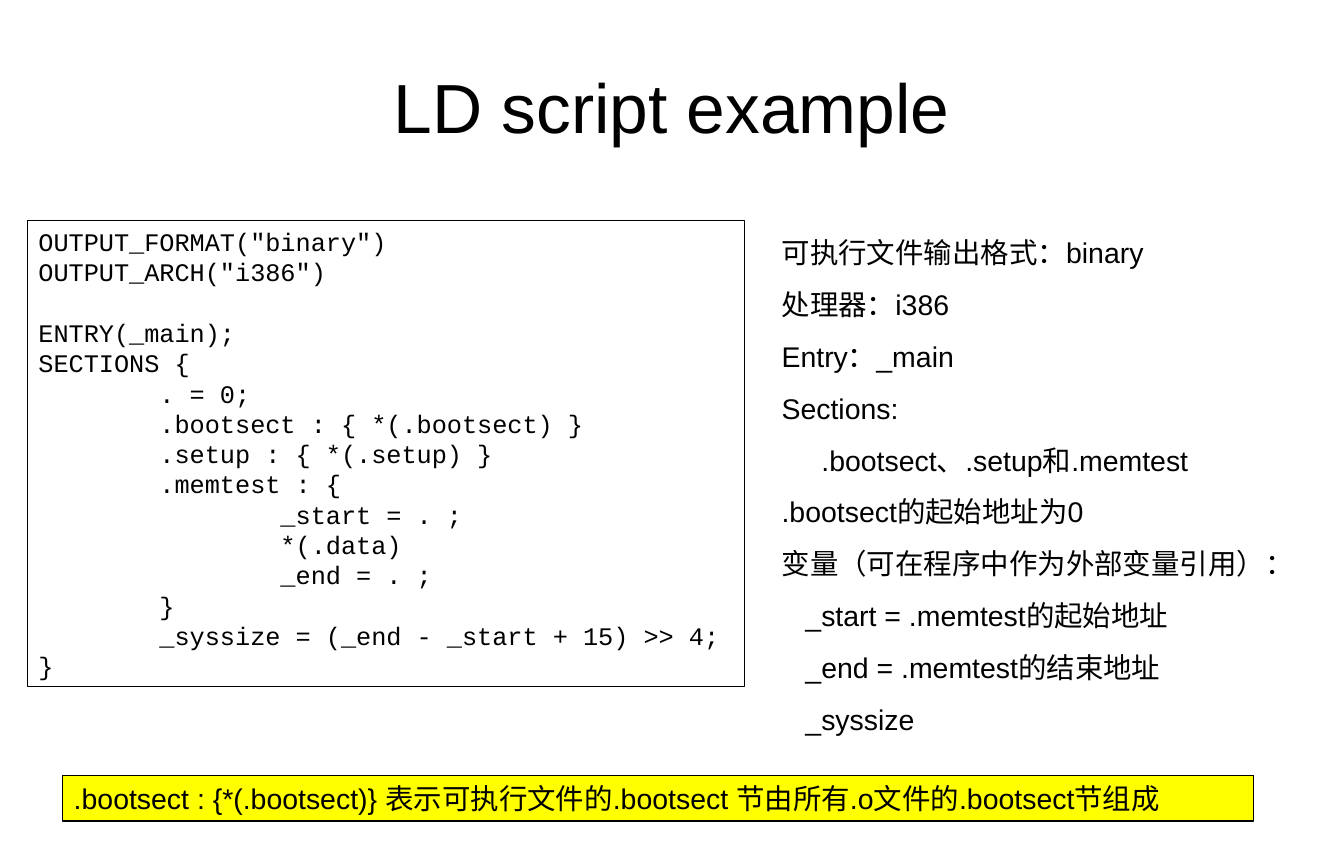
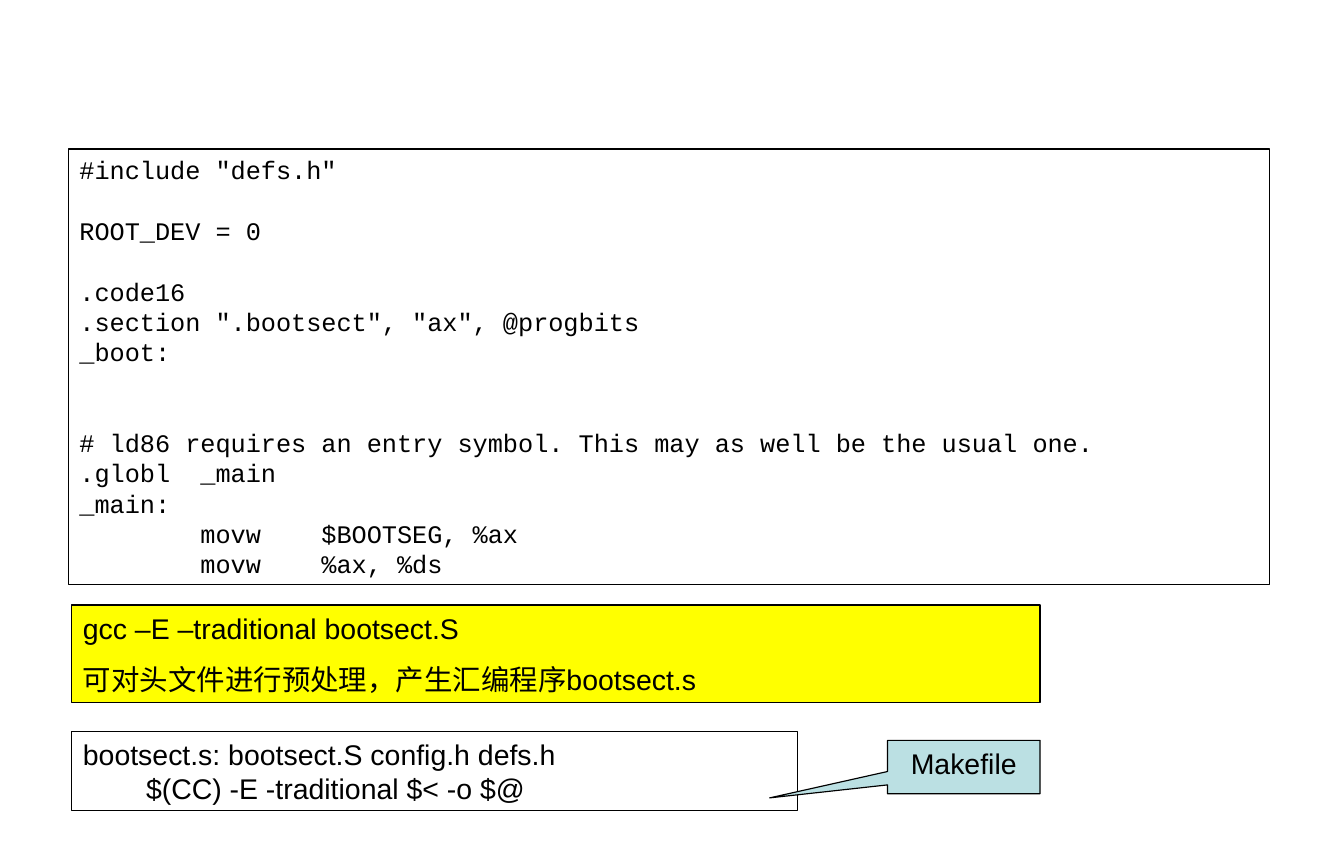
"""Build two slides on linker scripts and boot sector preprocessing."""
import pptx
import pptx.util
import pptx.dml.color
import pptx.enum.shapes
import pptx.enum.text

Inches = pptx.util.Inches
Pt = pptx.util.Pt
SHAPES = pptx.enum.shapes.MSO_SHAPE
ALIGN = pptx.enum.text.PP_ALIGN
ANCHOR = pptx.enum.text.MSO_ANCHOR

COLOURS = {"ink": "000000", "highlight": "FFFF00", "callout": "BBE0E3"}
SLIDE_SIZE = (Inches(30 / 2.54), Inches(7.5))
LEADING = 1.2
STYLES = {
    "title": {"font": "Arial", "size": 44, "align": ALIGN.CENTER, "anchor": ANCHOR.MIDDLE},
    "code": {"font": "Courier New", "size": 16},
    "notes": {"font": "Arial", "size": 18, "before": 11.2},
    "rule": {"font": "Arial", "size": 18},
    "label": {"font": "Arial", "size": 18, "align": ALIGN.CENTER},
}

LINKER_SCRIPT = """OUTPUT_FORMAT("binary")
OUTPUT_ARCH("i386")

ENTRY(_main);
SECTIONS {
        . = 0;
        .bootsect : { *(.bootsect) }
        .setup : { *(.setup) }
        .memtest : {
                _start = . ;
                *(.data)
                _end = . ;
        }
        _syssize = (_end - _start + 15) >> 4;
}""".split("\n")

EXPLANATION = [
    "可执行文件输出格式：binary",
    "处理器：i386",
    "Entry：_main",
    "Sections:",
    (".bootsect、.setup和.memtest", 0.35),
    ".bootsect的起始地址为0",
    "变量（可在程序中作为外部变量引用）：",
    ("_start = .memtest的起始地址", 0.21),
    ("_end = .memtest的结束地址", 0.21),
    ("_syssize", 0.21),
]

SECTION_NOTE = [
    ".bootsect : {*(.bootsect)} 表示可执行文件的.bootsect 节由所有.o文件的.bootsect节组成"]

BOOT_SOURCE = """#include "defs.h"

ROOT_DEV = 0

.code16
.section ".bootsect", "ax", @progbits
_boot:


# ld86 requires an entry symbol. This may as well be the usual one.
.globl  _main
_main:
        movw    $BOOTSEG, %ax
        movw    %ax, %ds""".split("\n")

PREPROCESSING = ["gcc –E –traditional bootsect.S",
                 "可对头文件进行预处理，产生汇编程序bootsect.s"]
MAKE_RULE = ["bootsect.s: bootsect.S config.h defs.h",
             "        $(CC) -E -traditional $< -o $@"]

SLIDES = [
    [
        {"at": (0.59, 0.3, 10.63, 1.25), "style": "title", "lines": ["LD script example"],
         "framed": False},
        {"at": (0.24, 1.94, 6.3, 4.1), "style": "code", "lines": LINKER_SCRIPT},
        {"at": (6.77, 2.02, 4.72, 4.51), "style": "notes", "lines": EXPLANATION,
         "framed": False},
        {"at": (0.55, 6.82, 10.47, 0.4), "style": "notes", "lines": SECTION_NOTE,
         "fill": "highlight"},
    ],
    [
        {"at": (0.6, 1.31, 10.56, 3.83), "style": "code", "lines": BOOT_SOURCE},
        {"at": (0.63, 5.32, 8.51, 0.86), "style": "notes", "lines": PREPROCESSING,
         "fill": "highlight"},
        {"at": (0.63, 6.43, 6.38, 0.7), "style": "rule", "lines": MAKE_RULE},
        {"at": (7.8, 6.51, 1.34, 0.47), "style": "label", "lines": ["Makefile"],
         "fill": "callout", "pointer": (-1.273, 0.577)},
    ],
]


def colour(name):
    return pptx.dml.color.RGBColor.from_string(COLOURS[name])


def write(frame, lines, style):
    frame.word_wrap = True
    frame.vertical_anchor = style.get("anchor", ANCHOR.TOP)
    frame.margin_left = frame.margin_right = Inches(0.1)
    frame.margin_top = frame.margin_bottom = Inches(0.05)
    pitch = style["size"] * LEADING
    paragraph, gap = None, 0
    for line in lines:
        text, indent = line if isinstance(line, tuple) else (line, 0)
        if not text:
            gap += pitch
            continue
        first = paragraph is None
        paragraph = frame.paragraphs[0] if first else frame.add_paragraph()
        paragraph.alignment = style.get("align", ALIGN.LEFT)
        paragraph.line_spacing = Pt(pitch)
        if not first:
            paragraph.space_before = Pt(style.get("before", 0) + gap)
        if indent:
            paragraph._p.get_or_add_pPr().set("marL", str(Inches(indent)))
        run = paragraph.add_run()
        run.text = text
        run.font.name = style["font"]
        run.font.size = Pt(style["size"])
        run.font.color.rgb = colour("ink")
        gap = 0


def add_panel(slide, at, style, lines, framed=True, fill=None, pointer=None):
    place = [Inches(length) for length in at]
    if framed:
        outline = SHAPES.RECTANGULAR_CALLOUT if pointer else SHAPES.RECTANGLE
        panel = slide.shapes.add_shape(outline, *place)
        panel.shadow.inherit = False
        panel.line.color.rgb = colour("ink")
        panel.line.width = Pt(0.75)
        if fill:
            panel.fill.solid()
            panel.fill.fore_color.rgb = colour(fill)
        else:
            panel.fill.background()
        for index, offset in enumerate(pointer or ()):
            panel.adjustments[index] = offset
    else:
        panel = slide.shapes.add_textbox(*place)
    write(panel.text_frame, lines, STYLES[style])


def main():
    deck = pptx.Presentation()
    deck.slide_width, deck.slide_height = SLIDE_SIZE
    for panels in SLIDES:
        slide = deck.slides.add_slide(deck.slide_layouts[6])
        for panel in panels:
            add_panel(slide, **panel)
    deck.save("out.pptx")


if __name__ == "__main__":
    main()
